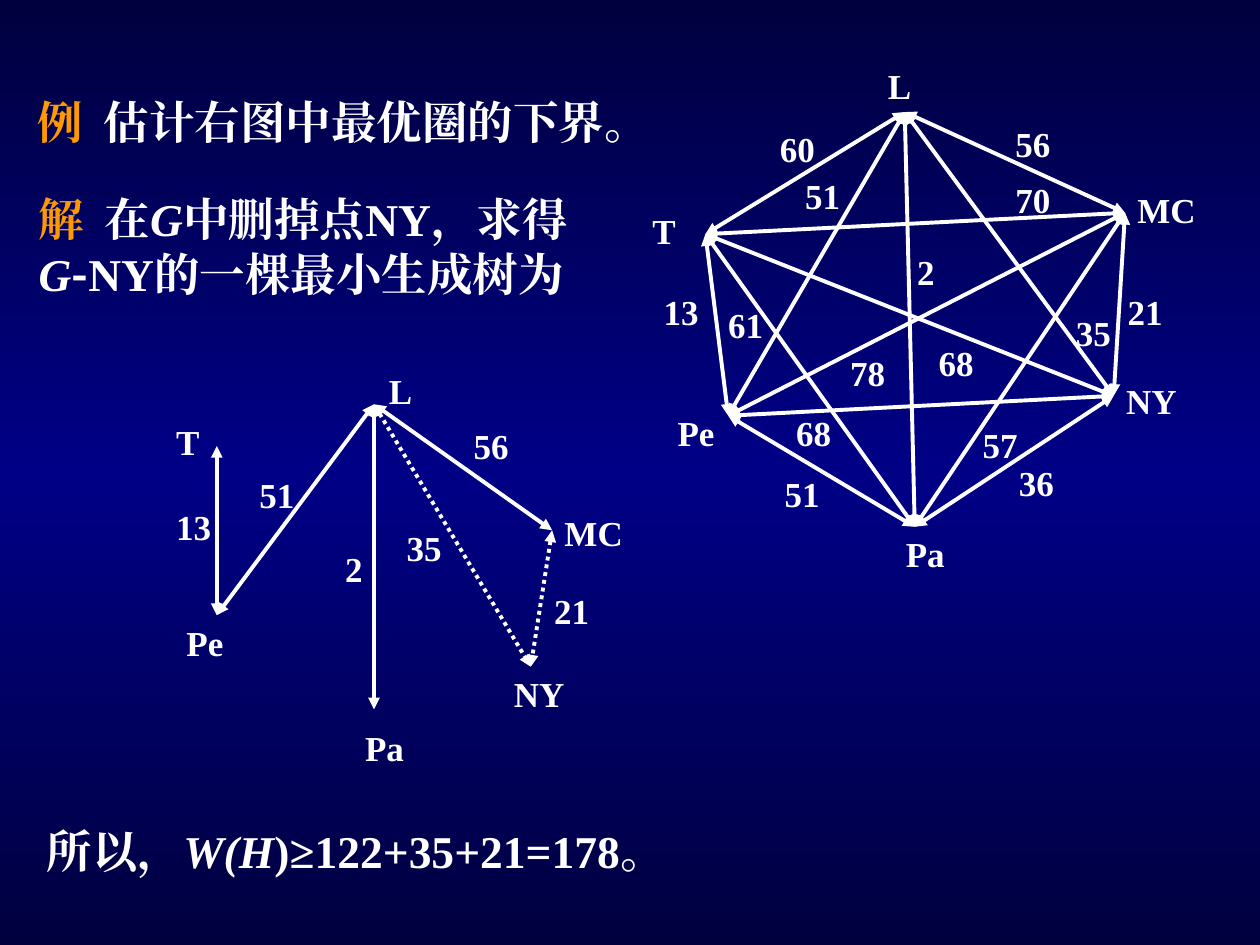
from copy import deepcopy
from itertools import combinations

from lxml import etree
from pptx import Presentation
from pptx.dml.color import RGBColor
from pptx.enum.dml import MSO_LINE_DASH_STYLE as Dash
from pptx.enum.shapes import MSO_CONNECTOR_TYPE as Connector
from pptx.oxml.ns import qn
from pptx.util import Cm, Pt

NAVY = RGBColor(0x00, 0x00, 0x3E)
BLUE = RGBColor(0x00, 0x00, 0x86)
WHITE = RGBColor(0xFF, 0xFF, 0xFF)
ORANGE = RGBColor(0xFF, 0x99, 0x00)
SERIF = "Times New Roman"
SANS = "Noto Sans CJK SC"


class SlideBuilder:
    label_size = Pt(20)
    body_size = Pt(26)
    line_width = Pt(2.25)
    label_height = 1.12
    tab_stop = Cm(1.33)

    def __init__(self, slide):
        self.slide = slide

    def background(self, colors):
        fill = self.slide.background.fill
        fill.gradient()
        fill.gradient_angle = 90
        stop_list = next(self.slide.element.iter(qn("a:gsLst")))
        while len(stop_list) < len(colors):
            stop_list.append(deepcopy(stop_list[0]))
        for index, (stop, color) in enumerate(zip(fill.gradient_stops, colors)):
            stop.position = index / (len(colors) - 1)
            stop.color.rgb = color

    def text(self, left, top, width, height, runs, size):
        """Each run is (text, overrides of the paragraph font)."""
        box = self.slide.shapes.add_textbox(Cm(left), Cm(top), Cm(width), Cm(height))
        box.text_frame.word_wrap = True
        paragraph = box.text_frame.paragraphs[0]
        if any("\t" in text for text, _ in runs):
            properties = paragraph._p.get_or_add_pPr()
            tabs = etree.SubElement(properties, qn("a:tabLst"))
            etree.SubElement(tabs, qn("a:tab"), pos=str(self.tab_stop), algn="l")
        font = paragraph.font
        font.name, font.size, font.bold = SERIF, size, True
        font.color.rgb = WHITE
        default = paragraph._p.pPr.find(qn("a:defRPr"))
        etree.SubElement(default, qn("a:ea"), typeface=SERIF)
        for text, style in runs:
            run = paragraph.add_run()
            run.text = text
            if "color" in style:
                run.font.color.rgb = style["color"]
            if "italic" in style:
                run.font.italic = style["italic"]
            if "font" in style:
                run.font.name = style["font"]

    def body(self, left, top, width, height, runs):
        self.text(left, top, width, height, runs, self.body_size)

    def labels(self, width, items):
        for text, left, top in items:
            self.text(left, top, width, self.label_height, [(text, {})], self.label_size)

    def edge(self, start, end, dash=None):
        line = self.slide.shapes.add_connector(
            Connector.STRAIGHT, *(Cm(value) for value in (*start, *end)))
        line.line.color.rgb = WHITE
        line.line.width = self.line_width
        if dash:
            line.line.dash_style = dash
        outline = line.line._get_or_add_ln()
        for tag in ("a:headEnd", "a:tailEnd"):
            etree.SubElement(outline, qn(tag), type="triangle")
        etree.SubElement(line._element.spPr, qn("a:effectLst"))


def main():
    presentation = Presentation()
    presentation.slide_width, presentation.slide_height = Cm(25.4), Cm(19.05)
    builder = SlideBuilder(presentation.slides.add_slide(presentation.slide_layouts[6]))
    builder.background([NAVY, BLUE, NAVY])
    heading, italic = {"color": ORANGE}, {"italic": True}

    # Problem
    builder.body(0.51, 1.78, 14.4, 1.37,
                 [("例", heading), ("\t估计右图中最优圈的下界。", {})])

    # Complete weighted graph
    graph = {"L": (18.24, 2.26), "T": (14.22, 4.72), "MC": (22.68, 4.29),
             "Pe": (14.68, 8.38), "NY": (22.45, 7.98), "Pa": (18.44, 10.62)}
    for start, end in combinations(graph.values(), 2):
        builder.edge(start, end)
    builder.labels(1.37, [
        ("13", 13.13, 5.74), ("2", 18.24, 4.93), ("21", 22.48, 5.74),
        ("70", 20.22, 3.48), ("56", 20.22, 2.34), ("51", 15.98, 3.4),
        ("60", 15.47, 2.44), ("78", 16.89, 6.96), ("35", 21.44, 6.15),
        ("36", 20.29, 9.17), ("51", 15.57, 9.4), ("68", 18.67, 6.76),
        ("57", 19.56, 8.41), ("68", 15.8, 8.18), ("61", 14.43, 5.99)])
    builder.labels(2.1, [
        ("T", 12.9, 4.09), ("Pe", 13.41, 8.18), ("Pa", 18.01, 10.62),
        ("NY", 22.45, 7.52), ("MC", 22.68, 3.68), ("L", 17.65, 1.17)])

    # Solution
    builder.body(0.53, 3.73, 11.81, 3.56, [
        ("解", heading), ("\t在", {}), ("G", italic), ("中删掉点NY，求得", {}),
        ("G", italic), ("-", {"font": SANS}), ("NY的一棵最小生成树为", {})])

    # Minimum spanning tree, with the two edges back to NY dotted
    tree = {"T": (4.37, 8.99), "Pe": (4.37, 12.4), "L": (7.54, 8.15),
            "Pa": (7.54, 14.3), "MC": (11.13, 10.69), "NY": (10.7, 13.44)}
    for start, end in [("T", "Pe"), ("Pe", "L"), ("L", "Pa"), ("L", "MC")]:
        builder.edge(tree[start], tree[end])
    for start in ("MC", "L"):
        builder.edge(tree[start], tree["NY"], Dash.ROUND_DOT)
    builder.labels(1.32, [
        ("51", 4.98, 9.42), ("13", 3.3, 10.06), ("56", 9.3, 8.43),
        ("2", 6.71, 10.92), ("35", 7.95, 10.49), ("21", 10.92, 11.76),
        ("Pa", 7.11, 14.53), ("L", 7.59, 7.32), ("Pe", 3.51, 12.4),
        ("T", 3.3, 8.36)])
    builder.labels(2.16, [("MC", 11.13, 10.19), ("NY", 10.11, 13.44)])

    # Conclusion
    builder.body(0.69, 16.46, 19.2, 1.37, [
        ("所以，", {}), ("W(H", italic), (")≥122+35+21=178", {}), ("。", {"font": SANS})])

    presentation.save("out.pptx")


if __name__ == "__main__":
    main()
